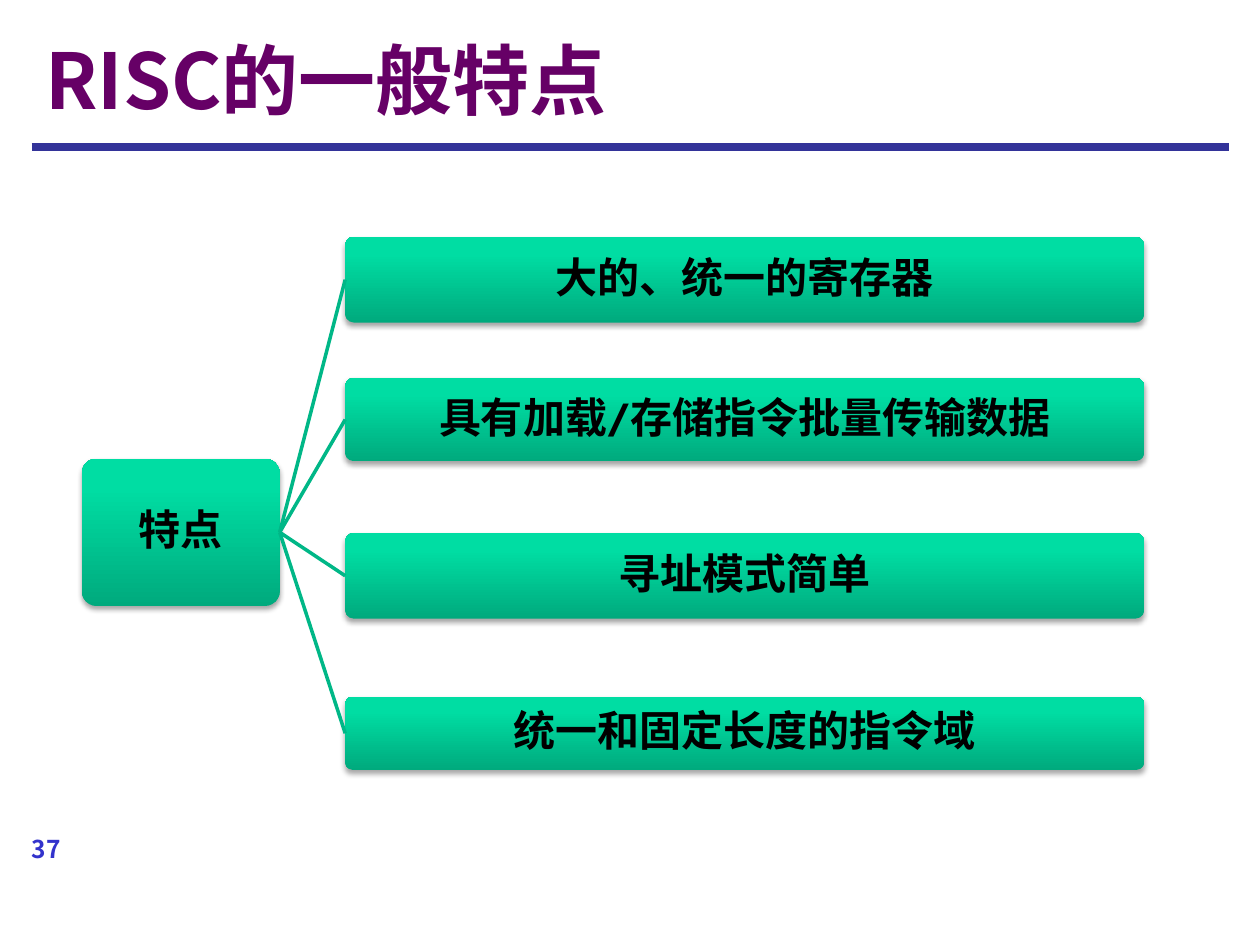
from dataclasses import dataclass
from typing import Any

from lxml.etree import SubElement
from pptx import Presentation
from pptx.dml.color import RGBColor
from pptx.enum.shapes import MSO_CONNECTOR, MSO_SHAPE
from pptx.enum.text import MSO_ANCHOR, PP_ALIGN
from pptx.oxml import parse_xml
from pptx.oxml.ns import nsdecls, qn
from pptx.util import Inches, Pt

COLUMNS, ROWS = 100, 75
RIGHT_SIDE, LEFT_SIDE = 3, 1


def color(hex_string):
    """Turn a hex string into a colour."""
    return RGBColor.from_string(hex_string)


def write(frame, text, *, size, font, ink, east_asian="Noto Sans CJK SC",
          align=PP_ALIGN.LEFT, anchor=MSO_ANCHOR.BOTTOM, line_spacing=None, after=None):
    """Put one bold paragraph into a text frame."""
    frame.word_wrap = True
    frame.vertical_anchor = anchor
    paragraph = frame.paragraphs[0]
    paragraph.alignment = align
    paragraph.line_spacing = line_spacing
    paragraph.space_after = after
    run = paragraph.add_run()
    run.text = text
    run.font.size = Pt(size)
    run.font.bold = True
    run.font.color.rgb = color(ink)
    run.font.name = font
    SubElement(run.font._element, qn("a:ea")).set("typeface", east_asian)


@dataclass
class FeatureSlide:
    """Style and drawing methods of the feature slide."""

    deck: Any
    slide: Any
    font: str = "Cabin"
    branch: str = "00B787"
    gradient: tuple = ((0, "00AA7D"), (80, "00DDA3"), (100, "00DEA4"))

    def place(self, left, top, width, height):
        """Convert grid columns and rows to slide lengths."""
        column = self.deck.slide_width / COLUMNS
        row = self.deck.slide_height / ROWS
        return (round(left * column), round(top * row),
                round(width * column), round(height * row))

    def label(self, area, text, **style):
        """Add a text box."""
        box = self.slide.shapes.add_textbox(*self.place(*area))
        write(box.text_frame, text, **style)

    def node(self, area, text):
        """Add a rounded box with gradient, shadow and centred text."""
        box = self.slide.shapes.add_shape(MSO_SHAPE.ROUNDED_RECTANGLE, *self.place(*area))
        box.adjustments[0] = 0.1
        box.shadow.inherit = False
        box.line.fill.background()
        box.fill.gradient()
        box.fill.gradient_angle = 90
        stops = box._element.spPr.find(qn("a:gradFill")).find(qn("a:gsLst"))
        for stop in list(stops):
            stops.remove(stop)
        for position, shade in self.gradient:
            stop = SubElement(stops, qn("a:gs"), pos=str(position * 1000))
            SubElement(stop, qn("a:srgbClr"), val=shade)
        box._element.spPr.find(qn("a:effectLst")).append(parse_xml(
            f'<a:outerShdw {nsdecls("a")} blurRad="{Pt(3.1)}" dist="{Pt(1.8)}" '
            'dir="5400000" rotWithShape="0"><a:srgbClr val="000000">'
            '<a:alpha val="35000"/></a:srgbClr></a:outerShdw>'))
        frame = box.text_frame
        frame.margin_left = frame.margin_right = Inches(0.04)
        frame.margin_top = frame.margin_bottom = Inches(0.04)
        write(frame, text, size=24, font=self.font, ink="000000", align=PP_ALIGN.CENTER,
              anchor=MSO_ANCHOR.MIDDLE, line_spacing=0.9, after=Pt(8.4))
        return box

    def line(self, start, end, ink, weight):
        """Add a straight line between two grid points."""
        stroke = self.slide.shapes.add_connector(
            MSO_CONNECTOR.STRAIGHT, *self.place(*start, *end))
        stroke.line.color.rgb = color(ink)
        stroke.line.width = Pt(weight)
        SubElement(stroke._element.spPr, qn("a:effectLst"))
        return stroke

    def join(self, parent, child):
        """Link the right side of one box to the left side of another."""
        link = self.line((0, 0), (1, 1), self.branch, 2)
        link.begin_connect(parent, RIGHT_SIDE)
        link.end_connect(child, LEFT_SIDE)


def main():
    """Build the slide of RISC features."""
    deck = Presentation()
    deck.slide_width, deck.slide_height = Inches(10), Inches(7.5)
    page = FeatureSlide(deck, deck.slides.add_slide(deck.slide_layouts[6]))

    page.line((2.5, 11.7), (97.5, 11.7), "333399", 4.5)
    page.label((0, 64.8, 5.8, 4.2), "37", size=14, font="Noto Sans CJK JP",
               east_asian="Noto Sans CJK JP", ink="3333CC", align=PP_ALIGN.RIGHT)
    page.label((2.6, 2.1, 85.2, 8.3), "RISC的一般特点", size=44,
               font="Noto Sans CJK SC", ink="660066")

    root = page.node((6.5, 36.4, 15.7, 11.7), "特点")
    features = (
        (18.8, 6.8, "大的、统一的寄存器"),
        (30, 6.6, "具有加载/存储指令批量传输数据"),
        (42.3, 6.8, "寻址模式简单"),
        (55.3, 5.8, "统一和固定长度的指令域"),
    )
    for top, height, feature in features:
        page.join(root, page.node((27.4, top, 63.4, height), feature))

    deck.save("out.pptx")


if __name__ == "__main__":
    main()
